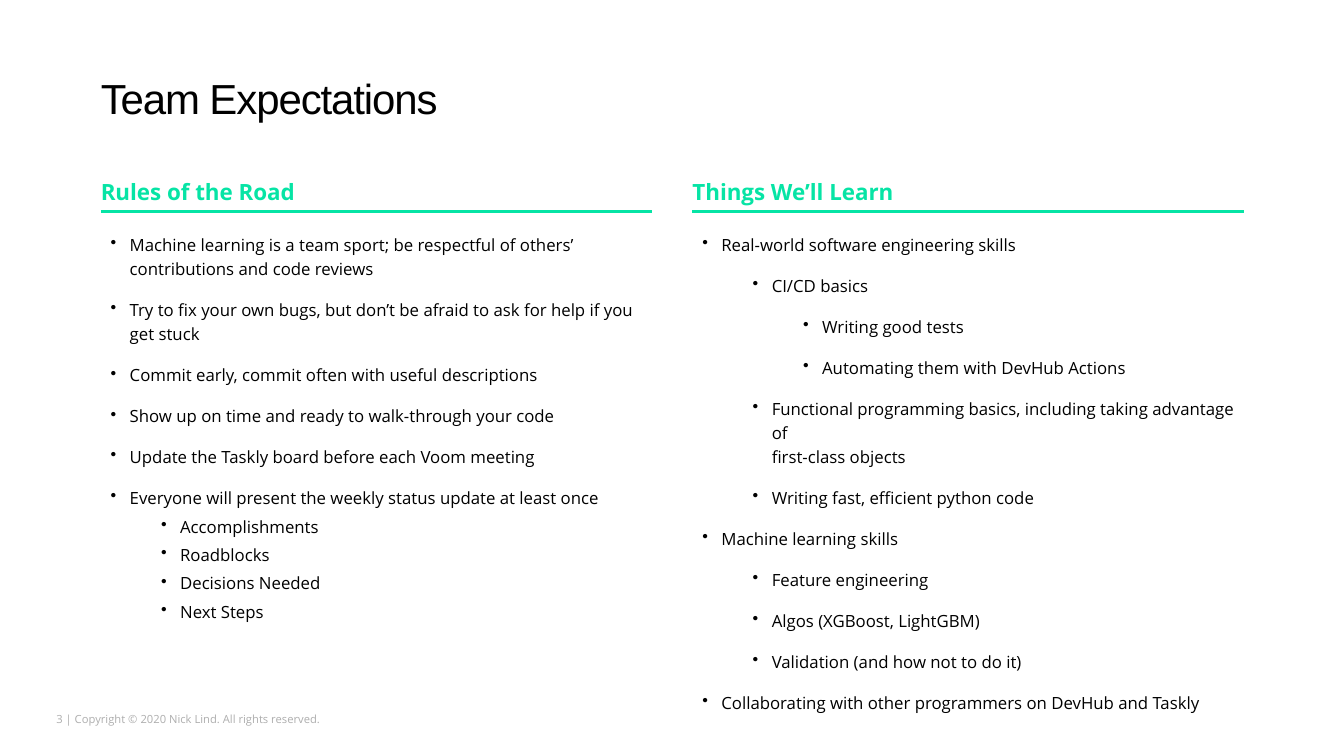
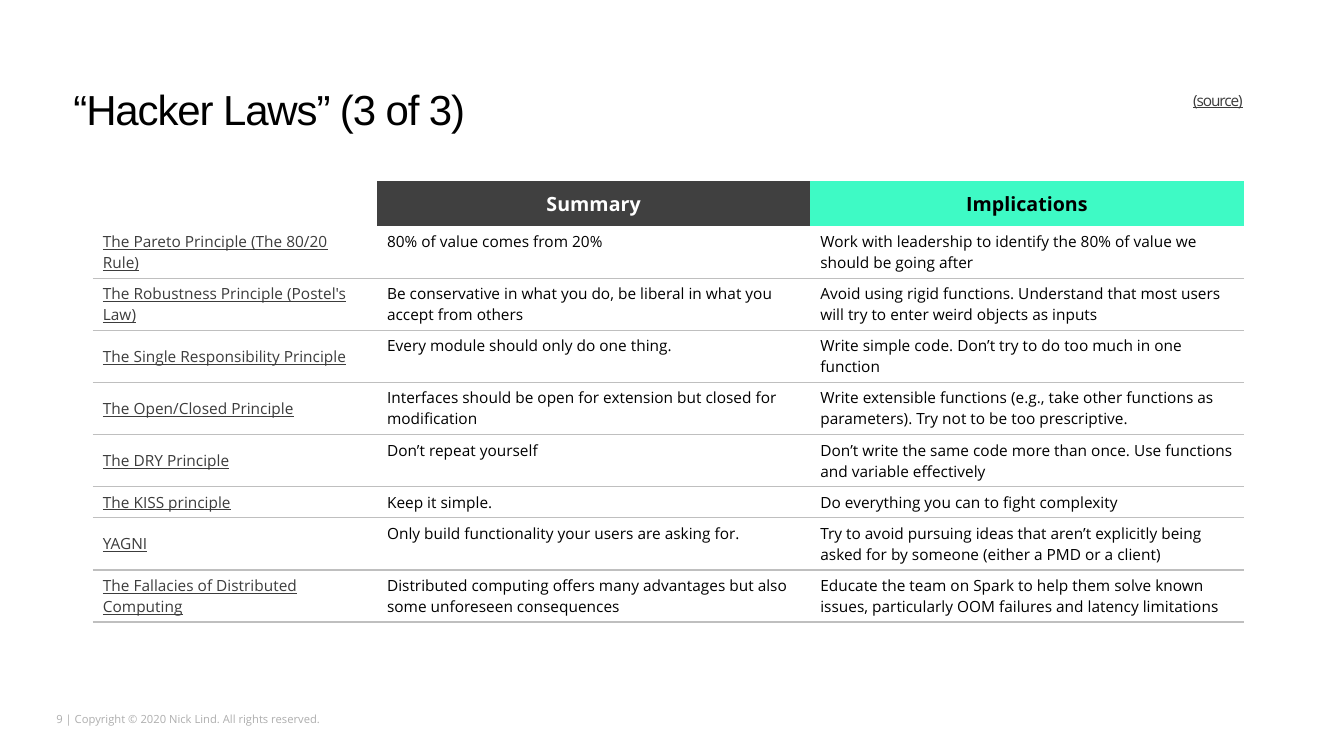
from lxml.etree import SubElement
from pptx import Presentation
from pptx.dml.color import RGBColor
from pptx.enum.shapes import MSO_CONNECTOR, MSO_SHAPE
from pptx.enum.text import MSO_ANCHOR as Anchor, MSO_AUTO_SIZE as AutoSize, PP_ALIGN as Align
from pptx.oxml import parse_xml
from pptx.oxml.ns import nsdecls, qn
from pptx.util import Cm, Pt

BLACK = RGBColor(0x00, 0x00, 0x00)
WHITE = RGBColor(0xFF, 0xFF, 0xFF)
GREEN = RGBColor(0x06, 0xE4, 0xA5)
MINT = RGBColor(0x3E, 0xFA, 0xC5)
CHARCOAL = RGBColor(0x40, 0x40, 0x40)
LINK = RGBColor(0x3C, 0x3C, 0x3C)
FOOTER = RGBColor(0xAE, 0xAE, 0xAE)
RULE = RGBColor(0xBF, 0xBF, 0xBF)
BODY_FONT = "Open Sans"
TITLE_FONT = "Arial"
NO_GRID_STYLE = "{2D5ABB26-0587-4C30-8999-92F81FD0307C}"
MARGIN = 2.54
COLUMN_WIDTH = 13.89
COLUMN_PITCH = 14.91
HANGING = 0.48
LEVEL_STEP = 1.27


class Deck:
    def __init__(self):
        self.presentation = Presentation()
        self.presentation.slide_width = Cm(33.87)
        self.presentation.slide_height = Cm(19.05)
        self.slide = None

    def add_slide(self, number, title, left, top, width):
        self.slide = self.presentation.slides.add_slide(self.presentation.slide_layouts[5])
        shape = self.slide.shapes.title
        shape.left, shape.top, shape.width, shape.height = Cm(left), Cm(top), Cm(width), Cm(1.14)
        self.frame(shape, Anchor.TOP, inset_top=0.13)
        self.fill_paragraph(shape.text_frame.paragraphs[0], title, 30, name=TITLE_FONT,
                            line_spacing=0.8, tracking=-80)
        self.text(f"{number} | Copyright © 2020 Nick Lind. All rights reserved.",
                  (1.42, 17.96, 12.78, 0.33), 8, FOOTER)

    def frame(self, shape, anchor, inset_top=0):
        frame = shape.text_frame
        frame.word_wrap = True
        frame.auto_size = AutoSize.NONE
        frame.vertical_anchor = anchor
        frame.margin_left = frame.margin_right = frame.margin_bottom = 0
        frame.margin_top = Cm(inset_top)

    def fill_paragraph(self, paragraph, text, size, color=BLACK, name=BODY_FONT, bold=False,
                       underline=False, align=Align.LEFT, line_spacing=None, space_after=0,
                       tracking=0):
        paragraph.text = text
        paragraph.alignment = align
        paragraph.line_spacing = line_spacing
        paragraph.space_after = Pt(space_after)
        font = paragraph.font
        font.name, font.size, font.bold, font.underline = name, Pt(size), bold, underline
        font.color.rgb = color
        if tracking:
            paragraph._p.pPr.find(qn("a:defRPr")).set("spc", str(tracking))

    def text(self, text, box, size, color, anchor=Anchor.TOP, inset_top=0, **style):
        shape = self.slide.shapes.add_textbox(*map(Cm, box))
        self.frame(shape, anchor, inset_top)
        self.fill_paragraph(shape.text_frame.paragraphs[0], text, size, color, **style)

    def heading(self, text, left):
        shape = self.slide.shapes.add_shape(MSO_SHAPE.RECTANGLE, Cm(left), Cm(4.32),
                                            Cm(COLUMN_WIDTH), Cm(1.02))
        shape.shadow.inherit = False
        shape.fill.solid()
        shape.fill.fore_color.rgb = WHITE
        shape.line.fill.background()
        self.frame(shape, Anchor.MIDDLE)
        self.fill_paragraph(shape.text_frame.paragraphs[0], text, 16, GREEN, bold=True)
        line = self.slide.shapes.add_connector(MSO_CONNECTOR.STRAIGHT, Cm(left), Cm(5.32),
                                               Cm(left + COLUMN_WIDTH), Cm(5.32))
        line.line.color.rgb = GREEN
        line.line.width = Pt(2)
        SubElement(line._element.spPr, qn("a:effectLst"))

    def bullets(self, items, left, width, height):
        shape = self.slide.shapes.add_textbox(Cm(left), Cm(5.69), Cm(width), Cm(height))
        frame = shape.text_frame
        frame.word_wrap = True
        for index, (level, space_after, text) in enumerate(items):
            paragraph = frame.add_paragraph() if index else frame.paragraphs[0]
            paragraph.level = level
            self.fill_paragraph(paragraph, text, 12, line_spacing=1.2, space_after=space_after)
            properties = paragraph._p.pPr
            properties.set("marL", str(Cm(HANGING + level * LEVEL_STEP)))
            properties.set("indent", str(-Cm(HANGING)))
            bullet = parse_xml(f'<a:buChar {nsdecls("a")} char="•"/>')
            properties.find(qn("a:defRPr")).addprevious(bullet)

    def table(self, headers, rows, left, top, widths):
        shape = self.slide.shapes.add_table(len(rows) + 1, len(widths), Cm(left), Cm(top),
                                            Cm(sum(widths)), Cm(11.1))
        table = shape.table
        table.first_row = table.horz_banding = False
        table._tbl.tblPr.find(qn("a:tableStyleId")).text = NO_GRID_STYLE
        for column, width in zip(table.columns, widths):
            column.width = Cm(width)
        table.rows[0].height = Cm(1.13)
        for column, (text, fill, color) in enumerate(headers, 1):
            self.cell(table.cell(0, column), text, fill, Anchor.MIDDLE,
                      size=14, color=color, bold=True, align=Align.CENTER)
        for index, (law, summary, implication, height) in enumerate(rows, 1):
            table.rows[index].height = Cm(height)
            cells = table.rows[index].cells
            self.cell(cells[0], law, WHITE, Anchor.MIDDLE, size=11, color=LINK, underline=True)
            for cell, text in zip(list(cells)[1:], (summary, implication)):
                self.cell(cell, text, WHITE, Anchor.TOP, size=11, space_after=3)
            for cell in cells:
                self.bottom_rule(cell)

    def cell(self, cell, text, fill, anchor, **style):
        cell.fill.solid()
        cell.fill.fore_color.rgb = fill
        cell.vertical_anchor = anchor
        self.fill_paragraph(cell.text_frame.paragraphs[0], text, **style)

    def bottom_rule(self, cell):
        cell._tc.get_or_add_tcPr().insert(0, parse_xml(
            f'<a:lnB {nsdecls("a")} w="{Pt(1)}"><a:solidFill><a:srgbClr val="{RULE}"/>'
            '</a:solidFill></a:lnB>'))


RULES = [
    (0, 12, "Machine learning is a team sport; be respectful of others’ contributions and code reviews"),
    (0, 12, "Try to fix your own bugs, but don’t be afraid to ask for help if you\vget stuck"),
    (0, 12, "Commit early, commit often with useful descriptions"),
    (0, 12, "Show up on time and ready to walk-through your code"),
    (0, 12, "Update the Taskly board before each Voom meeting"),
    (0, 3, "Everyone will present the weekly status update at least once"),
    (1, 3, "Accomplishments"),
    (1, 3, "Roadblocks"),
    (1, 3, "Decisions Needed"),
    (1, 3, "Next Steps"),
]
SKILLS = [
    (0, 12, "Real-world software engineering skills"),
    (1, 12, "CI/CD basics"),
    (2, 12, "Writing good tests"),
    (2, 12, "Automating them with DevHub Actions"),
    (1, 12, "Functional programming basics, including taking advantage of\vfirst-class objects"),
    (1, 12, "Writing fast, efficient python code"),
    (0, 12, "Machine learning skills"),
    (1, 12, "Feature engineering"),
    (1, 12, "Algos (XGBoost, LightGBM)"),
    (1, 12, "Validation (and how not to do it)"),
    (0, 12, "Collaborating with other programmers on DevHub and Taskly"),
]
HEADERS = [("Summary", CHARCOAL, WHITE), ("Implications", MINT, BLACK)]
ONE_LINE, TWO_LINES = 0.78, 1.31
LAWS = [
    ("The Pareto Principle (The 80/20 Rule)", "80% of value comes from 20%",
     "Work with leadership to identify the 80% of value we should be going after", TWO_LINES),
    ("The Robustness Principle (Postel's Law)",
     "Be conservative in what you do, be liberal in what you accept from others",
     "Avoid using rigid functions. Understand that most users will try to enter weird objects as inputs",
     TWO_LINES),
    ("The Single Responsibility Principle", "Every module should only do one thing.",
     "Write simple code. Don’t try to do too much in one function", TWO_LINES),
    ("The Open/Closed Principle",
     "Interfaces should be open for extension but closed for modification",
     "Write extensible functions (e.g., take other functions as parameters). "
     "Try not to be too prescriptive.", TWO_LINES),
    ("The DRY Principle", "Don’t repeat yourself",
     "Don’t write the same code more than once. Use functions and variable effectively", TWO_LINES),
    ("The KISS principle", "Keep it simple.",
     "Do everything you can to fight complexity", ONE_LINE),
    ("YAGNI", "Only build functionality your users are asking for.",
     "Try to avoid pursuing ideas that aren’t explicitly being asked for by someone "
     "(either a PMD or a client)", TWO_LINES),
    ("The Fallacies of Distributed Computing",
     "Distributed computing offers many advantages but also some unforeseen consequences",
     "Educate the team on Spark to help them solve known issues, "
     "particularly OOM failures and latency limitations", TWO_LINES),
]

deck = Deck()
deck.add_slide(3, "Team Expectations", MARGIN, 1.93, 28.78)
columns = [("Rules of the Road", RULES, COLUMN_WIDTH, 10.16),
           ("Things We’ll Learn", SKILLS, 14.4, 11.86)]
for index, (heading, items, width, height) in enumerate(columns):
    left = MARGIN + index * COLUMN_PITCH
    deck.heading(heading, left)
    deck.bullets(items, left, width, height)

deck.add_slide(9, "“Hacker Laws” (3 of 3)", 1.85, 2.21, 25)
deck.text("(source)", (28.32, 1.93, 3, 1.14), 11, LINK, Anchor.MIDDLE, inset_top=0.13,
          underline=True, align=Align.RIGHT, line_spacing=0.8, tracking=-80)
deck.table(HEADERS, LAWS, 2.34, 4.57, (7.16, 10.92, 10.92))

deck.presentation.save("out.pptx")
